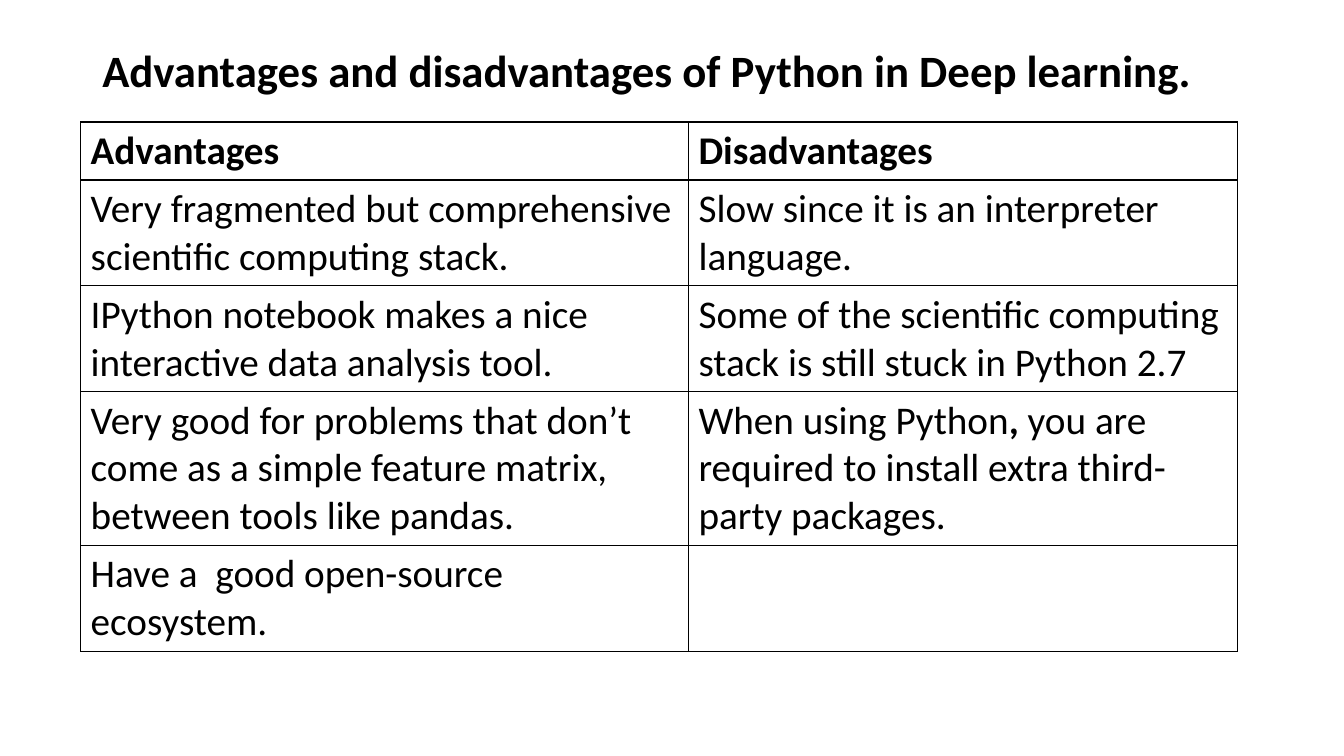
from lxml.etree import SubElement
from pptx import Presentation
from pptx.dml.color import RGBColor
from pptx.enum.text import MSO_ANCHOR
from pptx.oxml.ns import qn
from pptx.util import Pt

BLACK = RGBColor(0, 0, 0)
WHITE = RGBColor(255, 255, 255)
FONT = "Calibri"
BOLD_MARK = "**"
LINE_HEIGHT = 34.2
CELL_PADDING = 7.2

HEADINGS = ("Advantages", "Disadvantages")
POINTS = [
    ("Very fragmented but comprehensive scientific computing stack.",
     "Slow since it is an interpreter language."),
    ("IPython notebook makes a nice interactive data analysis tool.",
     "Some of the scientific computing stack is still stuck in Python 2.7"),
    ("Very good for problems that don’t come as a simple feature matrix, "
     "between tools like pandas.",
     "When using Python**,** you are required to install extra third-party packages."),
    ("Have a  good open-source ecosystem.", ""),
]
LINES_PER_ROW = (1, 2, 2, 3, 2)


def style_font(font, size, bold):
    """Apply the slide's typeface and colour to a font."""
    font.name = FONT
    font.size = Pt(size)
    font.bold = bold
    font.color.rgb = BLACK


def add_title(slide, left, top, width, height):
    """Place the bold heading in the given box."""
    heading = slide.shapes.add_textbox(Pt(left), Pt(top), Pt(width), Pt(height)).text_frame
    heading.word_wrap = True
    heading.vertical_anchor = MSO_ANCHOR.MIDDLE
    heading.text = "Advantages and disadvantages of Python in Deep learning."
    heading.paragraphs[0].line_spacing = 0.9
    style_font(heading.paragraphs[0].runs[0].font, 32, True)


def add_borders(cell):
    """Draw a thin black line on all four sides of a cell."""
    properties = cell._tc.get_or_add_tcPr()
    for side in ("a:lnL", "a:lnR", "a:lnT", "a:lnB"):
        border = SubElement(properties, qn(side), w=str(Pt(1)))
        fill = SubElement(border, qn("a:solidFill"))
        SubElement(fill, qn("a:srgbClr"), val=str(BLACK))


def fill_cell(cell, text, is_heading):
    """Write a cell, setting the marked parts in bold."""
    add_borders(cell)
    cell.fill.solid()
    cell.fill.fore_color.rgb = WHITE
    paragraph = cell.text_frame.paragraphs[0]
    for index, part in enumerate(text.split(BOLD_MARK)):
        if part:
            run = paragraph.add_run()
            run.text = part
            style_font(run.font, 28, is_heading or index % 2 == 1)


def add_comparison(slide, left, top, width, advantages_width):
    """Place the two-column comparison table in the given box."""
    heights = [lines * LINE_HEIGHT + CELL_PADDING for lines in LINES_PER_ROW]
    comparison = slide.shapes.add_table(
        len(heights), len(HEADINGS), Pt(left), Pt(top), Pt(width), Pt(sum(heights))).table
    comparison.first_row = False
    comparison.horz_banding = False
    comparison.columns[0].width = Pt(advantages_width)
    comparison.columns[1].width = Pt(width - advantages_width)
    for row, (height, texts) in enumerate(zip(heights, [HEADINGS, *POINTS])):
        comparison.rows[row].height = Pt(height)
        for column, text in enumerate(texts):
            fill_cell(comparison.cell(row, column), text, row == 0)


def main():
    """Build and save the slide."""
    deck = Presentation()
    deck.slide_width = Pt(960)
    deck.slide_height = Pt(540)
    slide = deck.slides.add_slide(deck.slide_layouts[6])
    add_title(slide, 66, 28.8, 828, 46)
    add_comparison(slide, 57.6, 87.2, 826.6, 434.2)
    deck.save("out.pptx")


if __name__ == "__main__":
    main()
